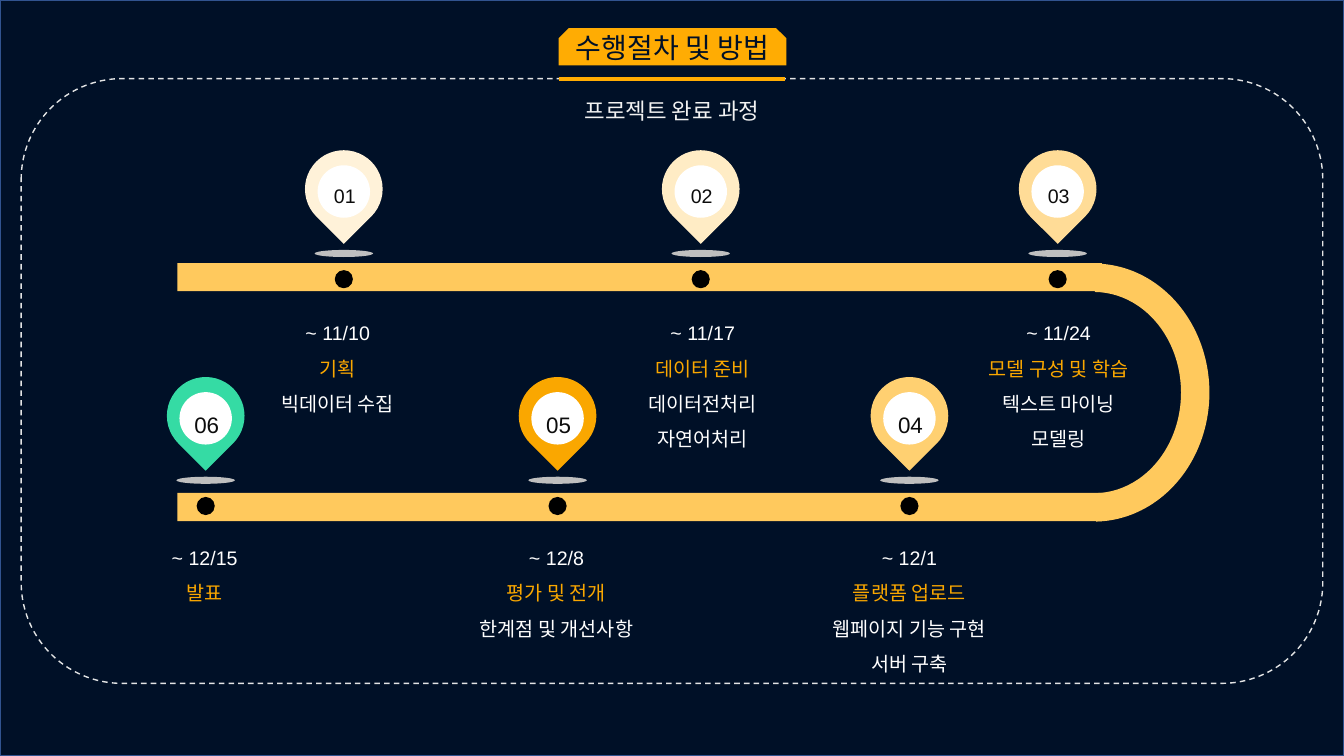
"""Build the project timeline slide: a bent road with six numbered milestones."""
import dataclasses
import typing

import lxml.etree
import pptx
import pptx.dml.color
import pptx.enum.dml
import pptx.enum.shapes
import pptx.enum.text
import pptx.oxml.ns
import pptx.util

Inches = pptx.util.Inches
Pt = pptx.util.Pt
Shape = pptx.enum.shapes.MSO_SHAPE
Anchor = pptx.enum.text.MSO_ANCHOR


@dataclasses.dataclass(frozen=True)
class Theme:
    font: str = "Arial"
    night: str = "001027"
    edge: str = "31538F"
    frame: str = "E3E4E5"
    road: str = "FFC95D"
    banner: str = "FFAC03"
    accent: str = "FAA700"
    white: str = "FFFFFF"
    pale: str = "F2F2F2"
    ink: str = "0C0C0C"
    shade: str = "BFBFBF"
    dot: str = "000000"
    title_size: int = 20
    large_size: int = 16
    text_size: int = 14


@dataclasses.dataclass(frozen=True)
class Row:
    pin_top: float
    caption_top: float
    number_size: int


@dataclasses.dataclass(frozen=True)
class Step:
    number: str
    row: Row
    center: float
    caption_center: float
    color: str
    lines: tuple[str, ...]


@dataclasses.dataclass(frozen=True)
class Frame:
    left: float
    top: float
    width: float
    height: float

    def lengths(self) -> tuple:
        return tuple(Inches(value) for value in dataclasses.astuple(self))


THEME = Theme()
UPPER = Row(1.49, 3.02, THEME.text_size)
LOWER = Row(3.74, 5.25, THEME.large_size)
STEPS = (
    Step("01", UPPER, 3.41, 3.35, "FFF2D9", ("~ 11/10", "기획", "빅데이터 수집")),
    Step("02", UPPER, 6.95, 6.97, "FFECC5", ("~ 11/17", "데이터 준비", "데이터전처리", "자연어처리")),
    Step("03", UPPER, 10.49, 10.5, "FFDC97", ("~ 11/24", "모델 구성 및 학습", "텍스트 마이닝", "모델링")),
    Step("04", LOWER, 9.02, 9.02, "FFD071", ("~ 12/1", "플랫폼 업로드", "웹페이지 기능 구현", "서버 구축")),
    Step("05", LOWER, 5.53, 5.52, THEME.accent, ("~ 12/8", "평가 및 전개", "한계점 및 개선사항")),
    Step("06", LOWER, 2.04, 2.03, "35DBA4", ("~ 12/15", "발표")),
)


def rgb(color: str) -> pptx.dml.color.RGBColor:
    return pptx.dml.color.RGBColor.from_string(color)


def apply(target: typing.Any, values: dict[str, typing.Any]) -> None:
    for name, value in values.items():
        setattr(target, name, value)


def add_shape(page, kind, frame: Frame, fill: str = "", line: str = "",
              adjustments: tuple[float, ...] = (), rotation: float = 0):
    shape = page.shapes.add_shape(kind, *frame.lengths())
    apply(shape, {"rotation": rotation})
    shape.shadow.inherit = False
    for index, value in enumerate(adjustments):
        shape.adjustments[index] = value
    if fill:
        shape.fill.solid()
        shape.fill.fore_color.rgb = rgb(fill)
    else:
        shape.fill.background()
    if line:
        shape.line.color.rgb = rgb(line)
        shape.line.width = Pt(1)
    else:
        shape.line.fill.background()
    return shape


def write(box, lines: tuple[str, ...], colors: tuple[str, ...], size: int,
          spacing: float = 1.0, anchor=Anchor.TOP) -> None:
    text = box.text_frame
    apply(text, {
        "word_wrap": True, "vertical_anchor": anchor,
        "auto_size": pptx.enum.text.MSO_AUTO_SIZE.NONE,
        "margin_left": Inches(0.1), "margin_right": Inches(0.1),
        "margin_top": Inches(0.05), "margin_bottom": Inches(0.05),
    })
    for index, (line, color) in enumerate(zip(lines, colors)):
        para = text.add_paragraph() if index else text.paragraphs[0]
        apply(para, {"alignment": pptx.enum.text.PP_ALIGN.CENTER, "line_spacing": spacing})
        span = para.add_run()
        span.text = line
        apply(span.font, {"name": THEME.font, "size": Pt(size)})
        span.font.color.rgb = rgb(color)


def add_text(page, frame: Frame, lines: tuple[str, ...], colors: tuple[str, ...],
             size: int, spacing: float = 1.0) -> None:
    write(page.shapes.add_textbox(*frame.lengths()), lines, colors, size, spacing)


def add_backdrop(page) -> None:
    page.background.fill.solid()
    page.background.fill.fore_color.rgb = rgb(THEME.night)
    add_shape(page, Shape.RECTANGLE, Frame(0, 0, 13.33, 7.5), THEME.night, THEME.edge)
    border = add_shape(page, Shape.ROUNDED_RECTANGLE, Frame(0.21, 0.78, 12.91, 6),
                       line=THEME.frame, adjustments=(0.167,))
    border.line.dash_style = pptx.enum.dml.MSO_LINE.DASH


def add_road(page) -> None:
    for top in (2.61, 4.89):
        add_shape(page, Shape.RECTANGLE, Frame(1.76, top, 9.17, 0.28), THEME.road)
    add_shape(page, Shape.BLOCK_ARC, Frame(9.57, 2.75, 2.56, 2.29), THEME.road,
              adjustments=(108.303, 215.405, 0.123), rotation=90)


def add_step(page, step: Step) -> None:
    top = step.row.pin_top

    def centered(width: float, height: float, drop: float, shift: float = 0) -> Frame:
        return Frame(step.center - width / 2 + shift, top + drop, width, height)

    add_shape(page, Shape.TEAR, centered(0.77, 0.77, 0), step.color,
              adjustments=(1,), rotation=135)
    for frame, color in (
        (centered(0.52, 0.52, 0.15), THEME.white),
        (centered(0.58, 0.07, 0.99), THEME.shade),
        (centered(0.18, 0.18, 1.19), THEME.dot),
    ):
        add_shape(page, Shape.OVAL, frame, color)
    add_text(page, centered(1.19, 0.36, 0.29, 0.01), (step.number,), (THEME.ink,),
             step.row.number_size)
    caption = Frame(step.caption_center - 1.09, step.row.caption_top, 2.18,
                    0.07 + 0.355 * len(step.lines))
    add_text(page, caption, step.lines,
             (THEME.white, THEME.accent, THEME.white, THEME.white), THEME.text_size, 1.5)


def add_heading(page) -> None:
    banner = Frame(5.54, 0.28, 2.26, 0.37)
    add_shape(page, Shape.SNIP_2_SAME_RECTANGLE, banner, THEME.banner, adjustments=(0.274, 0))
    title = page.shapes.title
    apply(title, dict(zip(("left", "top", "width", "height"), banner.lengths())))
    write(title, ("수행절차 및 방법",), (THEME.night,), THEME.title_size, anchor=Anchor.MIDDLE)
    title.element.getparent().append(title.element)
    rule = page.shapes.add_connector(pptx.enum.shapes.MSO_CONNECTOR.STRAIGHT,
                                     Inches(5.54), Inches(0.78), Inches(7.79), Inches(0.78))
    rule.line.color.rgb = rgb(THEME.banner)
    rule.line.width = Pt(3)
    lxml.etree.SubElement(rule.element.spPr, pptx.oxml.ns.qn("a:effectLst"))
    add_text(page, Frame(4.79, 0.91, 3.75, 0.37), ("프로젝트 완료 과정",), (THEME.pale,),
             THEME.large_size)


def main() -> None:
    deck = pptx.Presentation()
    apply(deck, {"slide_width": Inches(13.33), "slide_height": Inches(7.5)})
    page = deck.slides.add_slide(deck.slide_layouts.get_by_name("Title Only"))
    add_backdrop(page)
    add_road(page)
    for step in STEPS:
        add_step(page, step)
    add_heading(page)
    deck.save("out.pptx")


if __name__ == "__main__":
    main()
